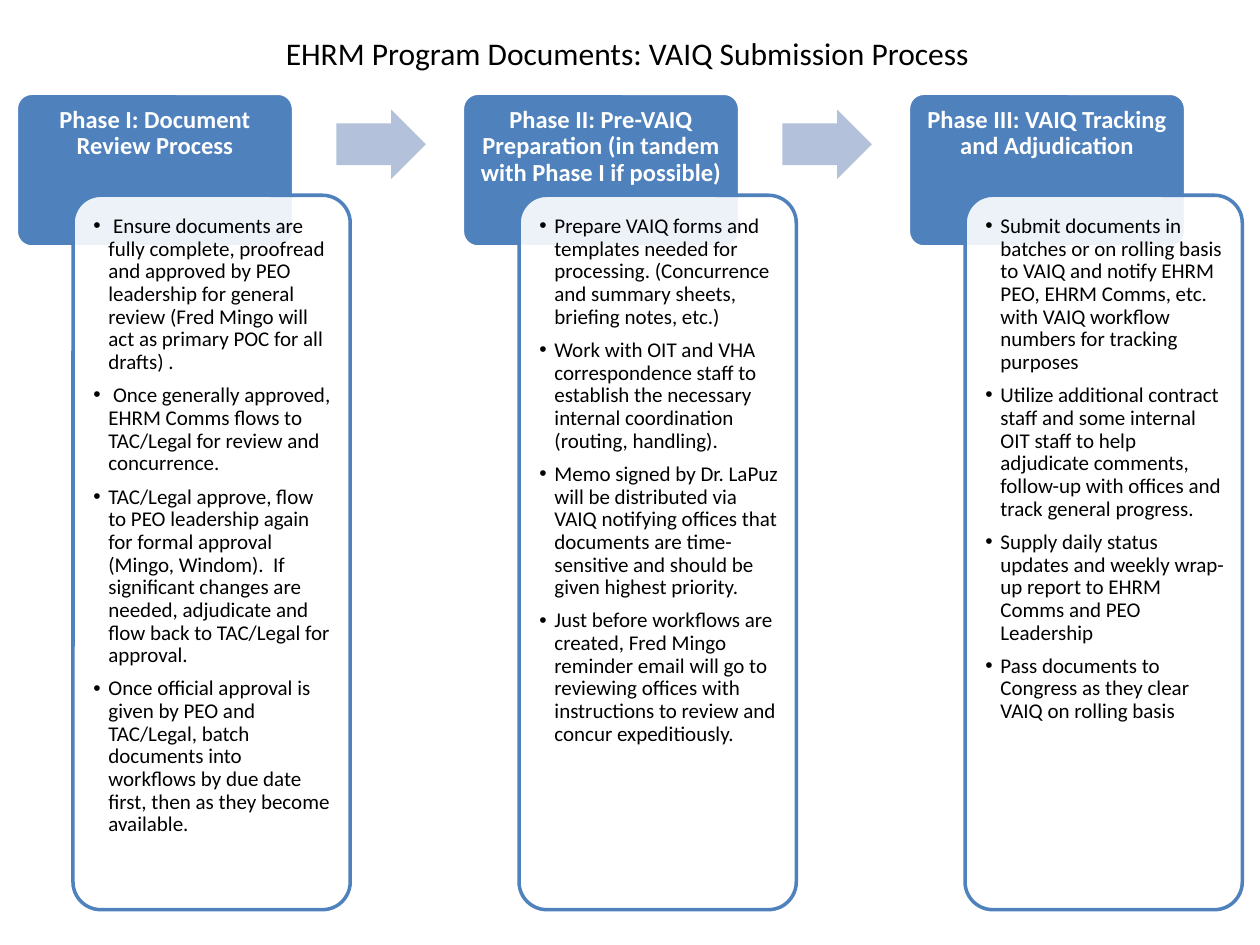
from lxml import etree
from pptx import Presentation
from pptx import util as u
from pptx.dml.color import RGBColor
from pptx.enum import shapes, text
from pptx.oxml.ns import qn

TITLE = "EHRM Program Documents: VAIQ Submission Process"
PHASES = [
    ("Phase I: Document Review Process", [
        " Ensure documents are fully complete, proofread and approved by PEO leadership "
        "for general review (Fred Mingo will act as primary POC for all drafts) .",
        " Once generally approved, EHRM Comms flows to TAC/Legal for review and concurrence.",
        "TAC/Legal approve, flow to PEO leadership again for formal approval (Mingo, Windom).  "
        "If significant changes are needed, adjudicate and flow back to TAC/Legal for approval.",
        "Once official approval is given by PEO and TAC/Legal, batch documents into workflows "
        "by due date first, then as they become available.",
    ]),
    ("Phase II: Pre-VAIQ Preparation (in tandem with Phase I if possible)", [
        "Prepare VAIQ forms and templates needed for processing. "
        "(Concurrence and summary sheets, briefing notes, etc.)",
        "Work with OIT and VHA correspondence staff to establish the necessary "
        "internal coordination (routing, handling).",
        "Memo signed by Dr. LaPuz will be distributed via VAIQ notifying offices that "
        "documents are time-sensitive and should be given highest priority.",
        "Just before workflows are created, Fred Mingo reminder email will go to reviewing "
        "offices with instructions to review and concur expeditiously.",
    ]),
    ("Phase III: VAIQ Tracking and Adjudication", [
        "Submit documents in batches or on rolling basis to VAIQ and notify EHRM PEO, "
        "EHRM Comms, etc. with VAIQ workflow numbers for tracking purposes",
        "Utilize additional contract staff and some internal OIT staff to help adjudicate "
        "comments, follow-up with offices and track general progress.",
        "Supply daily status updates and weekly wrap-up report to EHRM Comms and PEO Leadership",
        "Pass documents to Congress as they clear VAIQ on rolling basis",
    ]),
]
COLORS = {"blue": "4F81BD", "arrow": "B3C1DB", "white": "FFFFFF", "black": "000000"}
FONT = "Calibri"
LEFT, PITCH = 0.13, 3.54
TOP = 0.74
CARD_WIDTH = 2.2


def rgb(name):
    return RGBColor.from_string(COLORS[name])


def add_block(slide, kind, box, adjustments, fill, line=None):
    block = slide.shapes.add_shape(kind, *map(u.Inches, box))
    block.shadow.inherit = False
    for i, value in enumerate(adjustments):
        block.adjustments[i] = value
    block.fill.solid()
    block.fill.fore_color.rgb = rgb(fill)
    if line:
        block.line.color.rgb = rgb(line)
        block.line.width = u.Pt(2)
    else:
        block.line.fill.background()
    return block


def set_opacity(block, percent):
    color = block.fill._xPr.find(qn("a:solidFill"))[0]
    etree.SubElement(color, qn("a:alpha"), val=str(percent * 1000))


def add_bullet(paragraph):
    properties = paragraph._p.get_or_add_pPr()
    properties.set("marL", str(u.Inches(0.12)))
    properties.set("indent", str(u.Inches(-0.12)))
    etree.SubElement(properties, qn("a:buFont"), typeface="Arial")
    etree.SubElement(properties, qn("a:buChar"), char="•")


def add_text(slide, box, lines, size, color, insets=(0.1, 0.05, 0.1, 0.05),
             align=text.PP_ALIGN.LEFT, bold=False, spacing=1.0, bullets=False):
    frame = slide.shapes.add_textbox(*map(u.Inches, box)).text_frame
    frame.word_wrap = True
    frame.margin_left, frame.margin_top, frame.margin_right, frame.margin_bottom = map(
        u.Inches, insets)
    for i, line in enumerate(lines):
        paragraph = frame.paragraphs[0] if i == 0 else frame.add_paragraph()
        paragraph.text = line
        paragraph.alignment = align
        paragraph.line_spacing = spacing
        if bullets:
            paragraph.level = 1
            paragraph.space_after = u.Pt(6)
            add_bullet(paragraph)
        paragraph.font.name = FONT
        paragraph.font.size = u.Pt(size)
        paragraph.font.bold = bold
        paragraph.font.color.rgb = rgb(color)


def add_phase(slide, left, heading, steps):
    rounded = shapes.MSO_SHAPE.ROUNDED_RECTANGLE
    add_block(slide, rounded, (left, TOP, CARD_WIDTH, 1.22), [0.1], "blue", "white")
    add_text(slide, (left, TOP, CARD_WIDTH, 0.81), [heading], 14, "white",
             (0.11, 0.11, 0.11, 0.06), text.PP_ALIGN.CENTER, bold=True, spacing=0.9)
    panel = add_block(slide, rounded, (left + 0.45, 1.55, CARD_WIDTH, 5.67), [0.1],
                      "white", "blue")
    set_opacity(panel, 90)
    add_text(slide, (left + 0.52, 1.62, 2.08, 5.54), steps, 12, "black",
             (0.09,) * 4, spacing=0.9, bullets=True)


def main():
    deck = Presentation()
    deck.slide_width, deck.slide_height = u.Inches(10), u.Inches(7.5)
    slide = deck.slides.add_slide(deck.slide_layouts[6])
    for i, (heading, steps) in enumerate(PHASES):
        left = LEFT + i * PITCH
        add_phase(slide, left, heading, steps)
        if i < len(PHASES) - 1:
            add_block(slide, shapes.MSO_SHAPE.RIGHT_ARROW,
                      (left + 2.54, 0.87, 0.71, 0.55), [0.6, 0.5], "arrow")
    add_text(slide, (2.17, 0.22, 5.67, 0.4), [TITLE], 18, "black")
    deck.save("out.pptx")


if __name__ == "__main__":
    main()
